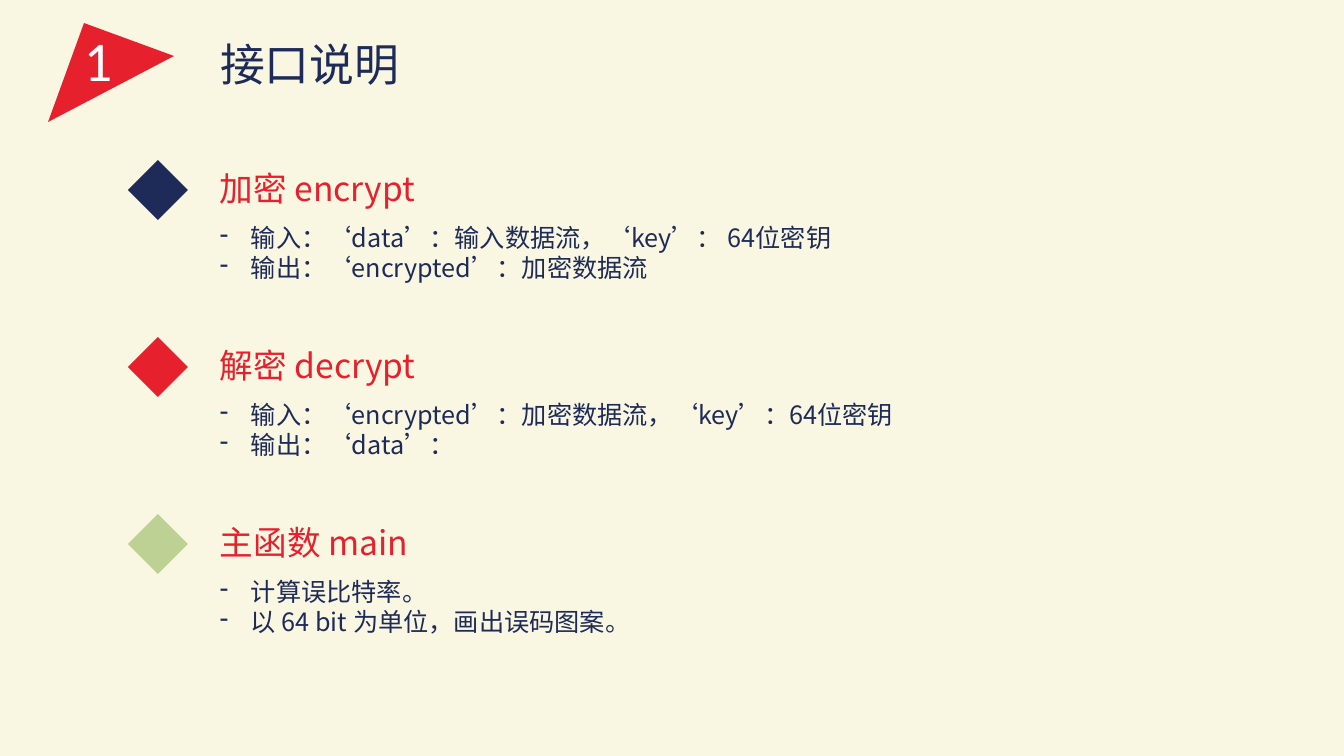
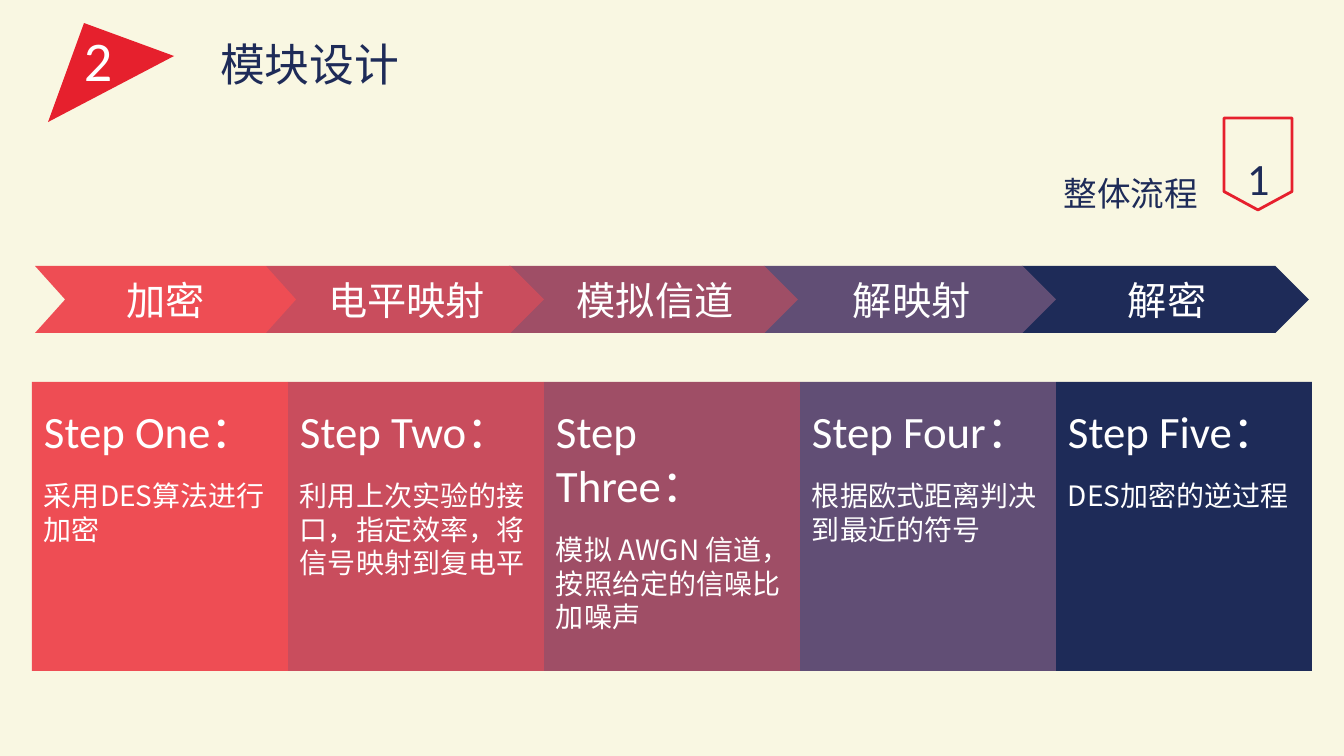
"""Build two slides on a cipher test: its functions and its module flow."""
import pptx
import pptx.util
import pptx.dml.color
import pptx.enum.shapes
import pptx.enum.text

PX = 914400 / 100.8
NAVY, RED, GREEN, CREAM, WHITE = "1E2B58", "E6202D", "BDD194", "F9F7E2", "FFFFFF"
HUES = ["EE4D54", "C94D5D", "9F4E66", "614E75", NAVY]
CJK, LATIN = "Noto Sans CJK SC", "Calibri"
KIND = pptx.enum.shapes.MSO_SHAPE
ALIGN = pptx.enum.text.PP_ALIGN
ANCHOR = pptx.enum.text.MSO_ANCHOR
Pt = pptx.util.Pt
rgb = pptx.dml.color.RGBColor.from_string


def box(slide, kind, area, fill=None):
    """Add a flat shape, or a text box when kind is None."""
    area = [round(n * PX) for n in area]
    if kind is None:
        shape = slide.shapes.add_textbox(*area)
    else:
        shape = slide.shapes.add_shape(kind, *area)
        shape.shadow.inherit = False
        shape.line.fill.background()
        if fill:
            shape.fill.solid()
            shape.fill.fore_color.rgb = rgb(fill)
        else:
            shape.fill.background()
    shape.text_frame.word_wrap = True
    shape.text_frame.vertical_anchor = ANCHOR.MIDDLE
    return shape


def write(par, text, size, hue, face=CJK, align=ALIGN.LEFT):
    """Add one run to a paragraph."""
    par.alignment = align
    run = par.add_run()
    run.text = text
    run.font.size = Pt(size)
    run.font.color.rgb = rgb(hue)
    run.font.name = face
    east = run.font._element.makeelement(pptx.oxml.ns.qn("a:ea"), {"typeface": CJK})
    run.font._element.append(east)


deck = pptx.Presentation()
deck.slide_width, deck.slide_height = round(1344 * PX), round(756 * PX)
back = deck.slide_master.background.fill
back.solid()
back.fore_color.rgb = rgb(CREAM)

slides = []
for num, name in enumerate(["接口说明", "模块设计"], 1):
    slide = deck.slides.add_slide(deck.slide_layouts[5])
    slides.append(slide)
    title = slide.shapes.title
    title.left, title.top, title.width, title.height = [
        round(n * PX) for n in (210, 31, 800, 65)]
    title.text_frame.auto_size = pptx.enum.text.MSO_AUTO_SIZE.NONE
    title.text_frame.vertical_anchor = ANCHOR.MIDDLE
    write(title.text_frame.paragraphs[0], name, 32, NAVY)
    pen = slide.shapes.build_freeform(84, 23, scale=PX)
    pen.add_line_segments([(174, 56), (48, 122)], close=True)
    flag = pen.convert_to_shape()
    flag.shadow.inherit = False
    flag.line.fill.background()
    flag.fill.solid()
    flag.fill.fore_color.rgb = rgb(RED)
    mark = box(slide, None, (74, 20, 54, 78))
    write(mark.text_frame.paragraphs[0], str(num), 40, WHITE, LATIN)

parts = [
    ("加密 encrypt", NAVY, ["输入：‘data’：输入数据流，‘key’： 64位密钥",
                         "输出：‘encrypted’：加密数据流"]),
    ("解密 decrypt", RED, ["输入：‘encrypted’：加密数据流，‘key’：64位密钥",
                        "输出：‘data’："]),
    ("主函数 main", GREEN, ["计算误比特率。", "以 64 bit 为单位，画出误码图案。"]),
]
for i, (head, hue, notes) in enumerate(parts):
    top = 160 + 177 * i
    box(slides[0], KIND.DIAMOND, (128, top, 60, 60), hue)
    frame = box(slides[0], None, (210, top + 3, 984, 129)).text_frame
    frame.vertical_anchor = ANCHOR.TOP
    par = frame.paragraphs[0]
    par.line_spacing = Pt(28.8)
    write(par, head, 24, RED)
    for j, note in enumerate(notes):
        par = frame.add_paragraph()
        par.line_spacing = Pt(21.6)
        par.space_before = Pt(0 if j else 10)
        write(par, note, 18, NAVY)
        props = par._p.get_or_add_pPr()
        props.set("marL", str(round(31 * PX)))
        props.set("indent", str(round(-31 * PX)))
        props.append(props.makeelement(pptx.oxml.ns.qn("a:buChar"), {"char": "-"}))

flow = slides[1]
badge = box(flow, KIND.FLOWCHART_OFFPAGE_CONNECTOR, (1224, 118, 68, 92))
badge.line.color.rgb = rgb(RED)
badge.line.width = Pt(2)
label = box(flow, None, (1237, 145, 46, 65))
write(label.text_frame.paragraphs[0], "1", 32, NAVY, LATIN)
label = box(flow, None, (969, 168, 239, 50))
write(label.text_frame.paragraphs[0], "整体流程", 24, NAVY, align=ALIGN.RIGHT)

steps = [
    ("加密", 35, 296, "One", "采用DES算法进行加密"),
    ("电平映射", 266, 544, "Two", "利用上次实验的接口，指定效率，将信号映射到复电平"),
    ("模拟信道", 509, 798, "Three", "模拟 AWGN 信道，按照给定的信噪比加噪声"),
    ("解映射", 764, 1056, "Four", "根据欧式距离判决到最近的符号"),
    ("解密", 1022, 1309, "Five", "DES加密的逆过程"),
]
for i, (name, left, tip, count, note) in reversed(list(enumerate(steps))):
    kind = KIND.PENTAGON if i else KIND.CHEVRON
    arrow = box(flow, kind, (left, 266, tip - left, 67), HUES[i])
    arrow.adjustments[0] = 0.5 if i else 0.45
    frame = arrow.text_frame
    frame.margin_left = round(20 * PX) if i else 0
    frame.margin_right = 0
    write(frame.paragraphs[0], name, 28, WHITE, align=ALIGN.CENTER)

    frame = box(flow, KIND.RECTANGLE, (32 + 256 * i, 382, 256, 289), HUES[i]).text_frame
    frame.vertical_anchor = ANCHOR.TOP
    frame.margin_left, frame.margin_right = round(12 * PX), round(10 * PX)
    frame.margin_top = round(22 * PX)
    par = frame.paragraphs[0]
    par.line_spacing = Pt(38.4)
    write(par, f"Step {count}：", 32, WHITE, LATIN)
    par = frame.add_paragraph()
    par.line_spacing = Pt(24)
    par.space_before = Pt(15)
    write(par, note, 20, WHITE)

deck.save("out.pptx")
